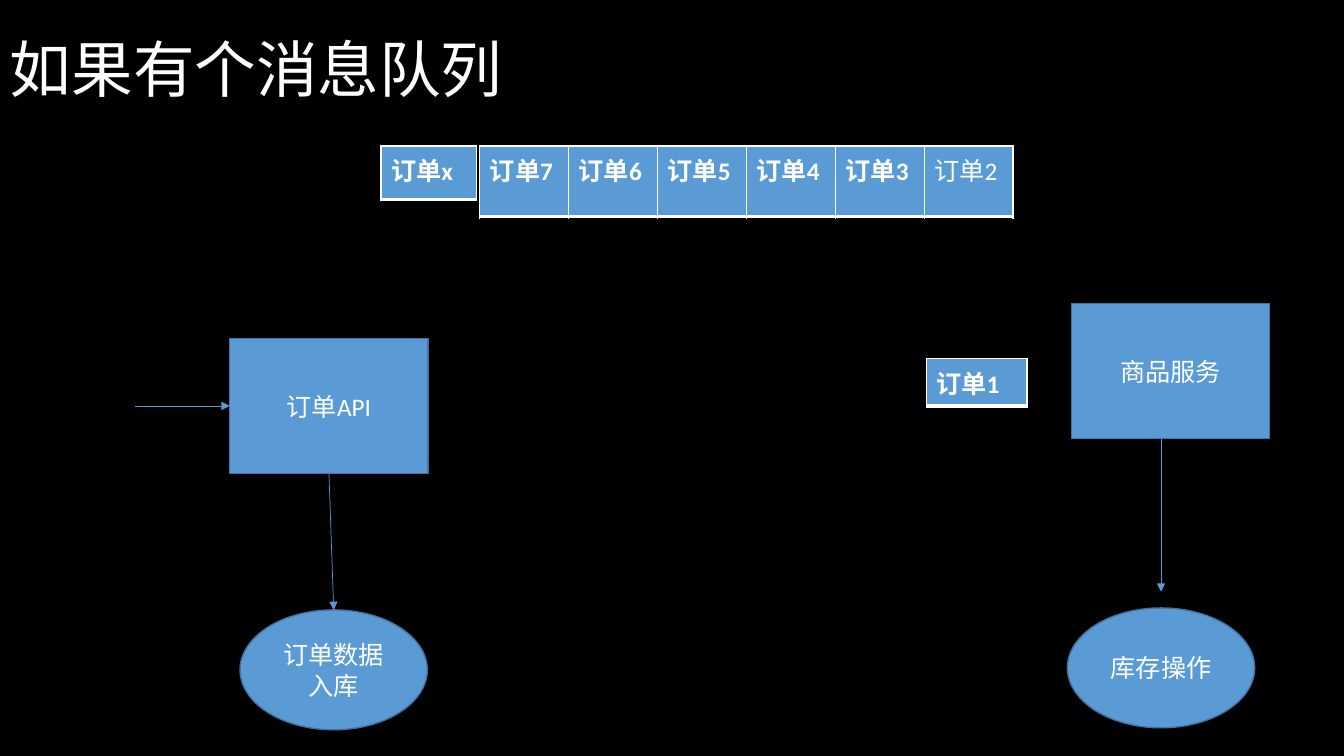
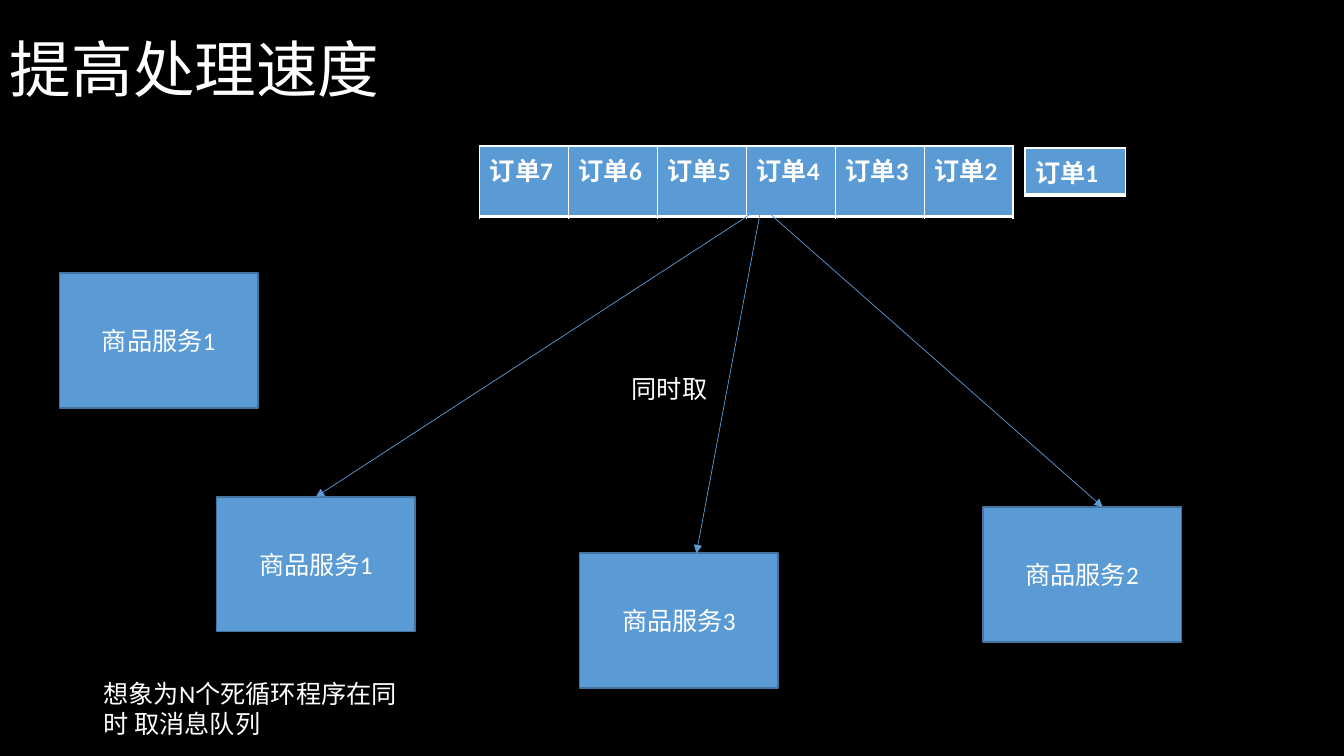
from lxml import etree
from pptx import Presentation
from pptx.dml.color import RGBColor
from pptx.enum.shapes import MSO_CONNECTOR, MSO_SHAPE
from pptx.enum.text import MSO_ANCHOR as Anchor, PP_ALIGN as Align
from pptx.oxml import parse_xml
from pptx.oxml.ns import nsdecls, qn
from pptx.util import Cm, Pt

BLACK = RGBColor(0x00, 0x00, 0x00)
WHITE = RGBColor(0xFF, 0xFF, 0xFF)
BLUE = RGBColor(0x5B, 0x9B, 0xD5)
DARK_BLUE = RGBColor(0x43, 0x73, 0x9E)
FONT = "Calibri"
BORDERS = {"lnL": 1, "lnR": 1, "lnT": 1, "lnB": 3}
RECT = (MSO_SHAPE.RECTANGLE, 5.0, 3.4)
OVAL = (MSO_SHAPE.OVAL, 4.72, 3.02)
TOP, LEFT, BOTTOM = 0, 1, 2
QUEUE = ["订单7", "订单6", "订单5", "订单4", "订单3", "订单2"]


def write(frame, text, size=18, bold=False, align=Align.LEFT):
    frame.word_wrap = True
    paragraph = frame.paragraphs[0]
    paragraph.text = text
    paragraph.alignment = align
    paragraph.font.name = FONT
    paragraph.font.size = Pt(size)
    paragraph.font.bold = bold
    paragraph.font.color.rgb = WHITE
    return paragraph


def add_text(slide, text, left, top, width, height, size=18):
    box = slide.shapes.add_textbox(Cm(left), Cm(top), Cm(width), Cm(height))
    return box.text_frame, write(box.text_frame, text, size)


# Slide contents, lengths in centimetres
# tables: labels, left, top, column width, row height, labels not in bold
# nodes: key -> kind, label, left, top
# arrows: start, end, joined start (node, site), joined end (node, site)
slides = [
    {
        "title": "如果有个消息队列",
        "tables": [
            (QUEUE, 12.09, 3.68, 2.24, 1.27, ["订单2"]),
            (["订单x"], 9.6, 3.68, 2.41, 1.35, []),
            (["订单1"], 23.34, 9.04, 2.54, 1.19, []),
        ],
        "nodes": {
            "api": (RECT, "订单API", 5.79, 8.53),
            "storage": (OVAL, "订单数据入库", 6.05, 15.37),
            "stock": (OVAL, "库存操作", 26.9, 15.32),
            "goods": (RECT, "商品服务", 27.0, 7.65),
        },
        "arrows": [
            ((3.4, 10.23), (5.79, 10.23), None, ("api", LEFT)),
            ((8.29, 11.93), (8.41, 15.37), ("api", BOTTOM), ("storage", TOP)),
            ((29.26, 11.05), (29.26, 14.91), None, None),
        ],
        "notes": [],
    },
    {
        "title": "提高处理速度",
        "tables": [
            (QUEUE, 12.09, 3.68, 2.24, 1.27, []),
            (["订单1"], 25.83, 3.73, 2.54, 1.19, []),
        ],
        "nodes": {
            "first": (RECT, "商品服务1", 5.46, 12.52),
            "second": (RECT, "商品服务2", 24.77, 12.78),
            "third": (RECT, "商品服务3", 14.61, 13.94),
            "idle": (RECT, "商品服务1", 1.5, 6.88),
        },
        "arrows": [
            ((19.2, 5.21), (7.96, 12.52), None, ("first", TOP)),
            ((19.2, 5.13), (17.55, 13.94), None, None),
            ((19.2, 5.21), (27.79, 12.78), None, None),
        ],
        "notes": [
            ("同时取", 15.67, 9.27, 9.04, 1.02),
            ("想象为N个死循环程序在同时 取消息队列", 2.36, 16.97, 8.1, 1.8),
        ],
    },
]

presentation = Presentation()
presentation.slide_width = Cm(33.87)
presentation.slide_height = Cm(19.05)

# Shared black background, set on the master
background = presentation.slide_master.background.fill
background.solid()
background.fore_color.rgb = BLACK

for content in slides:
    slide = presentation.slides.add_slide(presentation.slide_layouts[6])

    # Title
    frame, paragraph = add_text(slide, content["title"], 0, 0, 29.21, 3.68, 44)
    frame.vertical_anchor = Anchor.MIDDLE
    paragraph.line_spacing = 0.9

    # Message queue tables
    for labels, left, top, width, height, plain in content["tables"]:
        table = slide.shapes.add_table(
            1, len(labels), Cm(left), Cm(top), Cm(width * len(labels)), Cm(height)
        ).table
        table.horz_banding = False
        for column, label in enumerate(labels):
            table.columns[column].width = Cm(width)
            cell = table.cell(0, column)
            write(cell.text_frame, label, bold=label not in plain)
            properties = cell._tc.get_or_add_tcPr()
            for side, points in BORDERS.items():
                properties.append(parse_xml(
                    f'<a:{side} {nsdecls("a")} w="{Pt(points)}"><a:solidFill>'
                    f'<a:srgbClr val="{WHITE}"/></a:solidFill></a:{side}>'
                ))
            cell.fill.solid()
            cell.fill.fore_color.rgb = BLUE

    # Services and stores
    nodes = {}
    for key, (kind, label, left, top) in content["nodes"].items():
        preset, width, height = kind
        shape = slide.shapes.add_shape(preset, Cm(left), Cm(top), Cm(width), Cm(height))
        shape.shadow.inherit = False
        shape.fill.solid()
        shape.fill.fore_color.rgb = BLUE
        shape.line.color.rgb = DARK_BLUE
        shape.line.width = Pt(1)
        shape.text_frame.vertical_anchor = Anchor.MIDDLE
        write(shape.text_frame, label, align=Align.CENTER)
        nodes[key] = shape

    # Arrows
    for start, end, source, target in content["arrows"]:
        arrow = slide.shapes.add_connector(
            MSO_CONNECTOR.STRAIGHT, *[Cm(value) for value in start + end]
        )
        if source:
            arrow.begin_connect(nodes[source[0]], source[1])
        if target:
            arrow.end_connect(nodes[target[0]], target[1])
        arrow.line.color.rgb = BLUE
        arrow.line.width = Pt(0.5)
        etree.SubElement(arrow.line._get_or_add_ln(), qn("a:tailEnd"), type="triangle")
        etree.SubElement(arrow._element.spPr, qn("a:effectLst"))

    # Free text
    for note in content["notes"]:
        add_text(slide, *note)

presentation.save("out.pptx")
